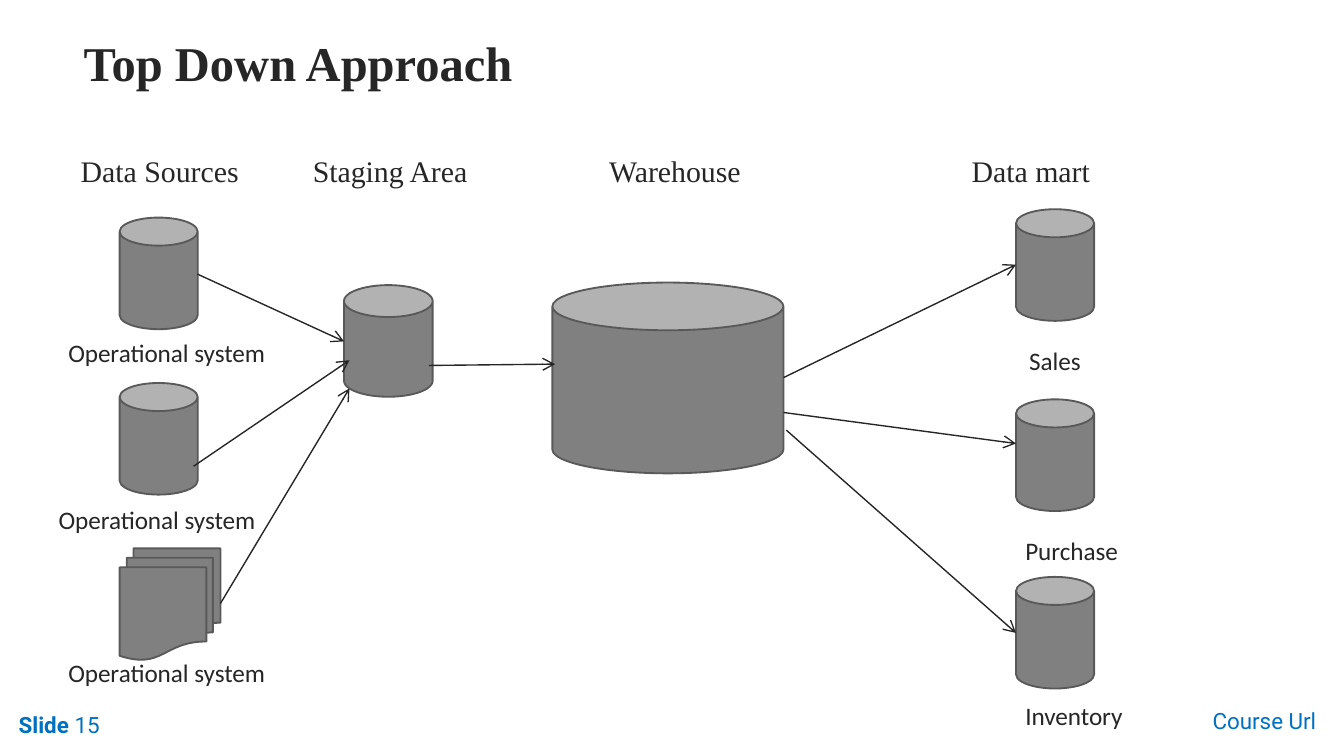
from typing import NamedTuple

from lxml.etree import SubElement
from pptx import Presentation
from pptx.dml.color import RGBColor
from pptx.enum.shapes import MSO_CONNECTOR, MSO_SHAPE
from pptx.enum.text import MSO_ANCHOR, PP_ALIGN
from pptx.oxml.ns import qn
from pptx.util import Pt

INK = RGBColor(0x26, 0x26, 0x26)
BLUE = RGBColor(0x00, 0x70, 0xC0)
GRAY = RGBColor(0x80, 0x80, 0x80)
EDGE = RGBColor(0x59, 0x59, 0x59)

SERIF, SANS, FOOT = "Times New Roman", "Calibri", "Roboto"


class Store(NamedTuple):
    left: float
    top: float
    width: float = 41.8
    height: float = 59.8
    kind: MSO_SHAPE = MSO_SHAPE.CAN
    curve: float = 0.36


class Label(NamedTuple):
    text: str
    left: float
    top: float
    width: float
    height: float
    font: str = SANS
    size: float = 13.5
    color: RGBColor = INK
    bold: bool = False
    align: PP_ALIGN = PP_ALIGN.LEFT


class Flow(NamedTuple):
    x1: float
    y1: float
    x2: float
    y2: float


SOURCE, MART = 64.1, 544.3  # left edges of the outer columns

STORES = [
    Store(SOURCE, 116.6),
    Store(SOURCE, 205.2),
    Store(SOURCE, 293.8, 54, kind=MSO_SHAPE.FLOWCHART_MULTIDOCUMENT),
    Store(184.3, 152.8, 47.5),
    Store(295.9, 151.4, 123.8, 102.2, curve=0.25),
    Store(MART, 112.1),
    Store(MART, 214),
    Store(MART, 309.1),
]

HEADS = [("Data Sources", 36.2), ("Staging Area", 160.5),
         ("Warehouse", 319.3), ("Data mart", 513.5)]
SYSTEMS = [(29.5, 177.1), (24.3, 266.4), (29.5, 348.5)]
MARTS = [("Sales", 544.3, 181.4), ("Purchase", 542.2, 283),
         ("Inventory", 542.2, 371.5)]

LABELS = [
    Label("Top Down Approach", 37.7, 13, 620.6, 40.3, SERIF, 26, bold=True),
    *[Label(text, left, 78.2, 130, 26, SERIF, 16) for text, left in HEADS],
    *[Label("Operational system", left, top, 188.6, 28.8)
      for left, top in SYSTEMS],
    *[Label(text, left, top, 80, 23.8) for text, left, top in MARTS],
    Label("Course Url", 404.9, 375.1, 307.4, 21.6, FOOT, 12, BLUE,
          align=PP_ALIGN.RIGHT),
]

FLOWS = [
    # Sources to staging
    Flow(105.9, 146.9, 184.3, 182.9),
    Flow(103.7, 249.8, 187.2, 193),
    Flow(118.1, 323.3, 187.2, 208.1),
    # Staging to warehouse
    Flow(229.7, 195.8, 297.4, 195.1),
    # Warehouse to marts
    Flow(419.8, 202.3, 544.3, 141.8),
    Flow(419.8, 221, 544.3, 237.6),
    Flow(421.2, 230.4, 544.3, 339.1),
]


def draw_store(shapes, store: Store) -> None:
    shape = shapes.add_shape(store.kind, Pt(store.left), Pt(store.top),
                             Pt(store.width), Pt(store.height))
    if store.kind == MSO_SHAPE.CAN:
        shape.adjustments[0] = store.curve
    shape.shadow.inherit = False
    shape.fill.solid()
    shape.fill.fore_color.rgb = GRAY
    shape.line.color.rgb = EDGE
    shape.line.width = Pt(1)


def style_run(run, label: Label) -> None:
    run.font.name = label.font
    run.font.size = Pt(label.size)
    run.font.color.rgb = label.color
    run.font.bold = label.bold


def draw_label(shapes, label: Label):
    box = shapes.add_textbox(Pt(label.left), Pt(label.top),
                             Pt(label.width), Pt(label.height))
    frame = box.text_frame
    frame.text = label.text
    frame.word_wrap = True
    line = frame.paragraphs[0]
    line.alignment = label.align
    style_run(line.runs[0], label)
    return frame


def draw_flow(shapes, flow: Flow) -> None:
    link = shapes.add_connector(MSO_CONNECTOR.STRAIGHT, Pt(flow.x1),
                                Pt(flow.y1), Pt(flow.x2), Pt(flow.y2))
    link.line.color.rgb = INK
    link.line.width = Pt(0.75)
    props = link._element.spPr
    SubElement(props.find(qn("a:ln")), qn("a:tailEnd"), type="arrow")
    SubElement(props, qn("a:effectLst"))


def main() -> None:
    deck = Presentation()
    deck.slide_width, deck.slide_height = Pt(720), Pt(405)
    shapes = deck.slides.add_slide(deck.slide_layouts[6]).shapes

    # Slide number, with only the first word bold
    foot = Label("Slide ", 2.9, 377.3, 113.8, 21.6, FOOT, 12, BLUE, True)
    count = draw_label(shapes, foot).paragraphs[0].add_run()
    count.text = "15"
    style_run(count, foot._replace(bold=False))

    # Data stores
    for store in STORES:
        draw_store(shapes, store)

    # Title, headings and captions
    for label in LABELS:
        frame = draw_label(shapes, label)
        if label.bold:
            frame.vertical_anchor = MSO_ANCHOR.MIDDLE

    # Arrows
    for flow in FLOWS:
        draw_flow(shapes, flow)

    deck.save("out.pptx")


if __name__ == "__main__":
    main()
